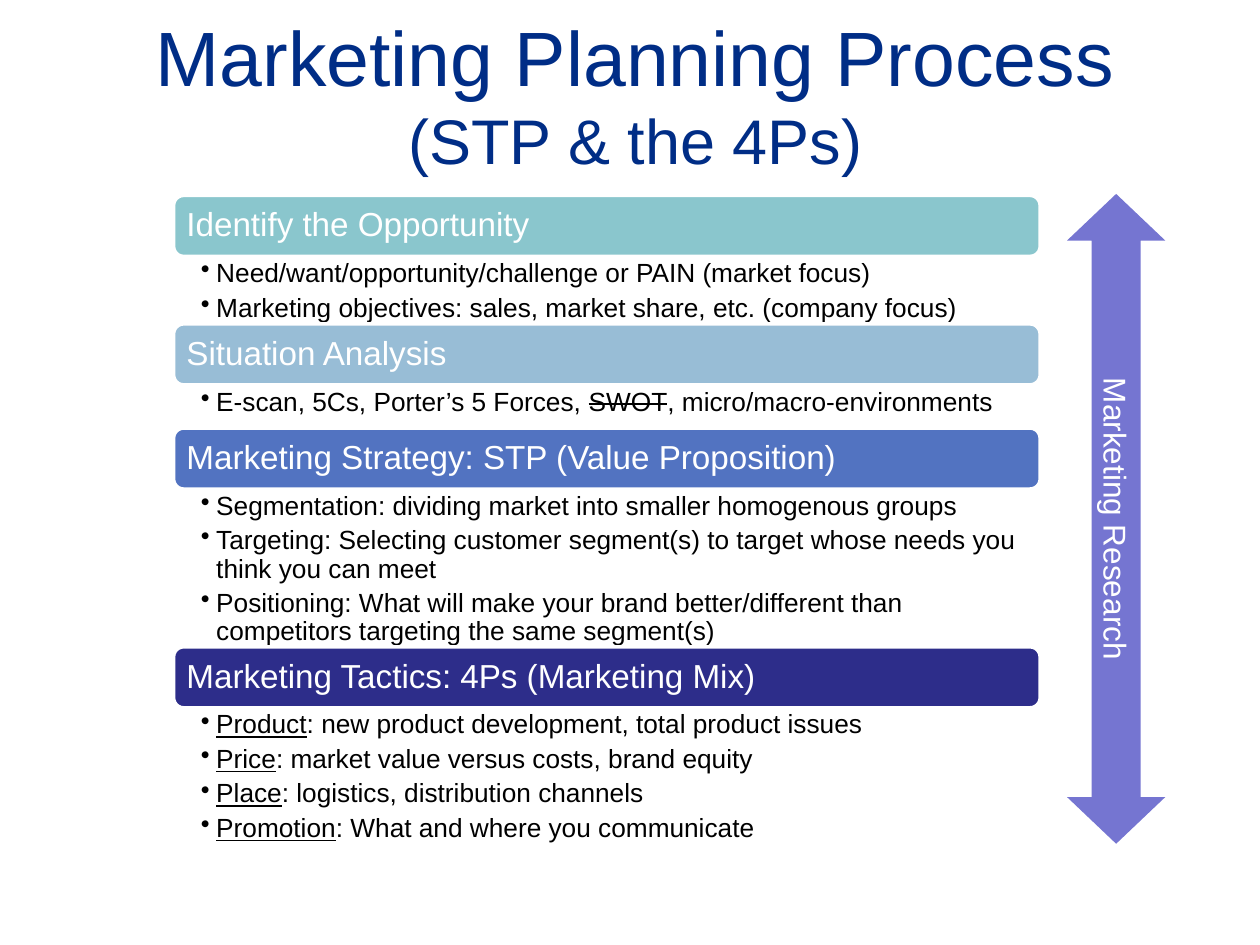
from lxml import etree
from pptx import Presentation
from pptx import util as u
from pptx.dml.color import RGBColor
from pptx.enum import shapes, text
from pptx.oxml.ns import qn

TITLE = [("Marketing Planning Process", 44), ("(STP & the 4Ps)", 36)]
RESEARCH = "Marketing Research"
STAGES = [
    ("Identify the Opportunity", "teal", 1.36, [
        [("Need/want/opportunity/challenge or PAIN (market focus)", "")],
        [("Marketing objectives: sales, market share, etc. (company focus)", "")],
    ]),
    ("Situation Analysis", "sky", 0.87, [
        [("E-scan, 5Cs, Porter’s 5 Forces, ", ""), ("SWOT", "strike"),
         (", micro/macro-environments", "")],
    ]),
    ("Marketing Strategy: STP (Value Proposition)", "blue", 3.18, [
        [("Segmentation: dividing market into smaller homogenous groups", "")],
        [("Targeting: Selecting customer segment(s) to target whose needs you "
          "think you can meet", "")],
        [("Positioning: What will make your brand better/different than "
          "competitors targeting the same segment(s)", "")],
    ]),
    ("Marketing Tactics: 4Ps (Marketing Mix)", "indigo", 2.74, [
        [("Product", "underline"), (": new product development, total product issues", "")],
        [("Price", "underline"), (": market value versus costs, brand equity", "")],
        [("Place", "underline"), (": logistics, distribution channels", "")],
        [("Promotion", "underline"), (": What and where you communicate", "")],
    ]),
]
COLORS = {"title": "002D86", "teal": "8AC6CD", "sky": "98BDD6", "blue": "5273C1",
          "indigo": "2D2D8A", "violet": "7575D1", "white": "FFFFFF", "black": "000000"}
LEFT, TOP, WIDTH, BAR_HEIGHT = 3.5, 3.94, 17.47, 1.23
INDENT = u.Cm(0.31)


def rgb(name):
    return RGBColor.from_string(COLORS[name])


def set_font(font, size, color):
    font.name = "Arial"
    font.size = u.Pt(size)
    font.color.rgb = rgb(color)


def set_frame(tf, anchor, *margins):
    tf.word_wrap = True
    tf.auto_size = text.MSO_AUTO_SIZE.NONE
    tf.vertical_anchor = anchor
    tf.margin_left, tf.margin_top, tf.margin_right, tf.margin_bottom = map(u.Cm, margins)


def add_filled(s, kind, box, color, label, size, align, margins):
    sp = s.shapes.add_shape(kind, *map(u.Cm, box))
    sp.shadow.inherit = False
    sp.fill.solid()
    sp.fill.fore_color.rgb = rgb(color)
    sp.line.fill.background()
    tf = sp.text_frame
    set_frame(tf, text.MSO_ANCHOR.MIDDLE, *margins)
    tf.text = label
    p = tf.paragraphs[0]
    p.alignment = align
    set_font(p.runs[0].font, size, "white")
    return sp


def add_bullet(p, runs):
    p.level = 1
    pPr = p._p.get_or_add_pPr()
    pPr.set("marL", str(INDENT))
    pPr.set("indent", str(-INDENT))
    etree.SubElement(pPr, qn("a:buChar")).set("char", "•")
    p.line_spacing = 0.9
    p.space_after = u.Pt(3.5)
    for words, style in runs:
        r = p.add_run()
        r.text = words
        set_font(r.font, 15, "black")
        if style == "underline":
            r.font.underline = True
        elif style == "strike":
            r.font._element.set("strike", "sngStrike")


def add_stage(s, top, heading, color, height, bullets):
    bar = add_filled(s, shapes.MSO_SHAPE.ROUNDED_RECTANGLE, (LEFT, top, WIDTH, BAR_HEIGHT),
                     color, heading, 19, text.PP_ALIGN.LEFT, [0.2] * 4)
    bar.text_frame.paragraphs[0].line_spacing = 0.9
    bar.line.color.rgb = rgb("white")
    bar.line.width = u.Pt(2)
    body_top = top + BAR_HEIGHT
    tf = s.shapes.add_textbox(*map(u.Cm, (LEFT, body_top, WIDTH, height))).text_frame
    set_frame(tf, text.MSO_ANCHOR.TOP, 0.55, 0.07, 0.38, 0.07)
    for i, runs in enumerate(bullets):
        add_bullet(tf.add_paragraph() if i else tf.paragraphs[0], runs)
    return body_top + height


def main():
    prs = Presentation()
    prs.slide_width, prs.slide_height = u.Cm(25.4), u.Cm(19.05)
    s = prs.slides.add_slide(prs.slide_layouts[5])

    title = s.shapes.title
    title.left, title.top, title.width, title.height = map(u.Cm, (0.71, 0.08, 24.2, 3.6))
    tf = title.text_frame
    set_frame(tf, text.MSO_ANCHOR.MIDDLE, 0.25, 0.13, 0.25, 0.13)
    tf.text = "\v".join(words for words, size in TITLE)
    p = tf.paragraphs[0]
    p.alignment = text.PP_ALIGN.CENTER
    for r, (words, size) in zip(p.runs, TITLE):
        set_font(r.font, size, "title")

    top = TOP
    for stage in STAGES:
        top = add_stage(s, top, *stage)

    arrow = add_filled(s, shapes.MSO_SHAPE.LEFT_RIGHT_ARROW, (15.95, 9.47, 13.1, 1.98),
                       "violet", RESEARCH, 18, text.PP_ALIGN.CENTER, (0.25, 0.13, 0.25, 0.13))
    arrow.rotation = 90
    arrow.adjustments[0], arrow.adjustments[1] = 0.5, 0.475

    prs.save("out.pptx")


if __name__ == "__main__":
    main()
